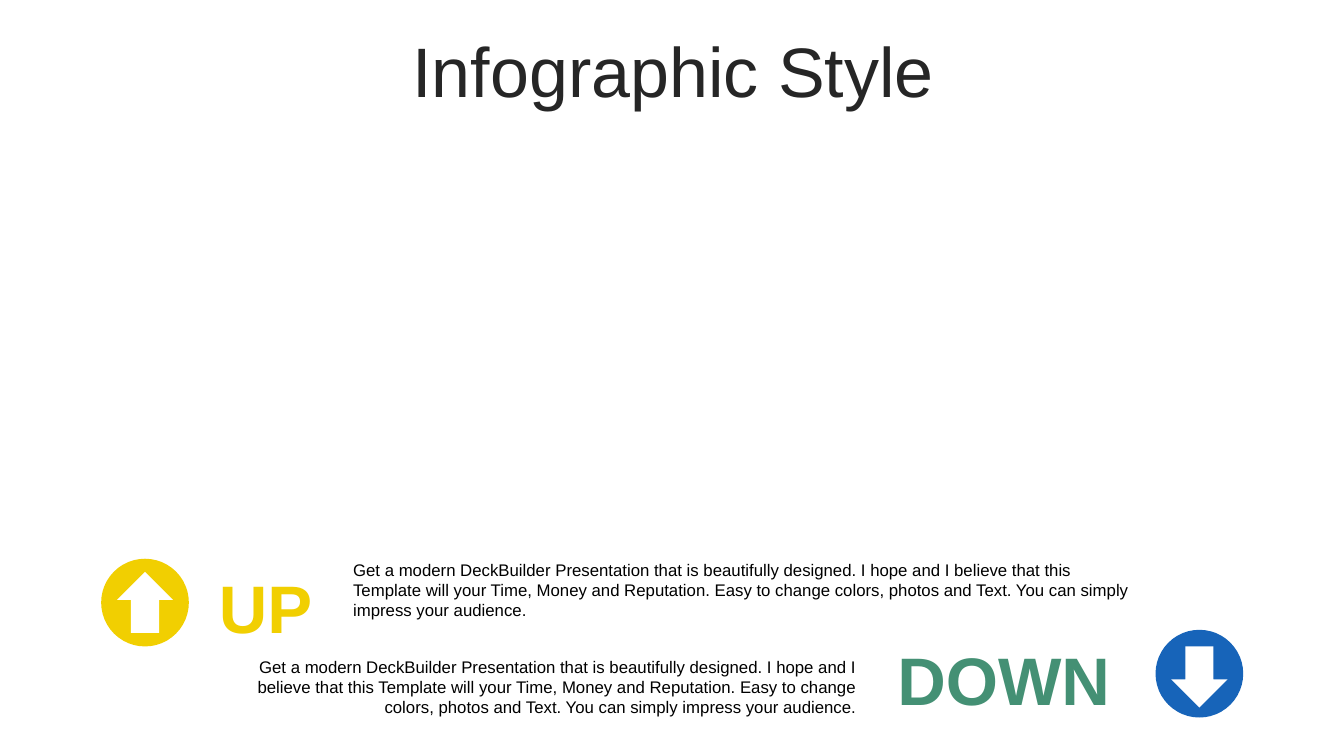
"""Build the Infographic Style slide with its up and down messages."""
from pptx import Presentation
from pptx.dml.color import RGBColor
from pptx.enum.shapes import MSO_SHAPE
from pptx.enum.text import MSO_ANCHOR, MSO_AUTO_SIZE, PP_ALIGN
from pptx.util import Cm, Pt

MESSAGE = (
    "Get a modern DeckBuilder Presentation that is beautifully designed. "
    "I hope and I believe that this Template will your Time, Money and Reputation. "
    "Easy to change colors, photos and Text. You can simply impress your audience."
)
CIRCLE_SIZE = 2.21
ARROW_WIDTH, ARROW_HEIGHT = 1.42, 1.54


def write_text(shape, text, size, color="000000", bold=False, align=PP_ALIGN.LEFT,
               anchor=MSO_ANCHOR.TOP, fit=MSO_AUTO_SIZE.SHAPE_TO_FIT_TEXT,
               margin=None, line_spacing=None):
    frame = shape.text_frame
    frame.word_wrap = True
    frame.auto_size = fit
    frame.vertical_anchor = anchor
    if margin is not None:
        frame.margin_left = frame.margin_right = Cm(margin)
        frame.margin_top = frame.margin_bottom = Cm(margin)
    paragraph = frame.paragraphs[0]
    paragraph.alignment = align
    paragraph.line_spacing = line_spacing
    run = paragraph.add_run()
    run.text = text
    run.font.name = "Arial"
    run.font.size = Pt(size)
    run.font.bold = bold
    run.font.color.rgb = RGBColor.from_string(color)


def add_filled(shapes, kind, left, top, width, height, color, rotation):
    shape = shapes.add_shape(kind, Cm(left), Cm(top), Cm(width), Cm(height))
    shape.shadow.inherit = False
    shape.fill.solid()
    shape.fill.fore_color.rgb = RGBColor.from_string(color)
    shape.line.fill.background()
    shape.rotation = rotation


presentation = Presentation()
presentation.slide_width = Cm(33.87)
presentation.slide_height = Cm(19.05)
slide = presentation.slides.add_slide(presentation.slide_layouts[5])

title = slide.shapes.title
title.left, title.top, title.width, title.height = Cm(0.89), Cm(0.94), Cm(32.16), Cm(2.01)
write_text(title, "Infographic Style", 50, color="262626", align=PP_ALIGN.CENTER,
           anchor=MSO_ANCHOR.MIDDLE, fit=MSO_AUTO_SIZE.NONE, line_spacing=0.8)

directions = [
    ("UP", "F1CF01", (5.12, 14.25, 3.15, 2.06), (8.65, 13.98, 20.27, 1.8),
     PP_ALIGN.LEFT, "F1CF01", (2.55, 14.08), 0.33, 0),
    ("DOWN", "449074", (21.69, 16.05, 7.21, 2.06), (4.95, 16.42, 16.89, 1.8),
     PP_ALIGN.RIGHT, "1764B9", (29.12, 15.87), 0.42, 180),
]
for (label, label_color, label_box, message_box, message_align,
     circle_color, (left, top), arrow_drop, rotation) in directions:
    heading = slide.shapes.add_textbox(*map(Cm, label_box))
    write_text(heading, label, 48, color=label_color, bold=True,
               align=PP_ALIGN.CENTER, anchor=MSO_ANCHOR.BOTTOM, margin=0)

    icon = slide.shapes.add_group_shape()
    add_filled(icon.shapes, MSO_SHAPE.OVAL, left, top,
               CIRCLE_SIZE, CIRCLE_SIZE, circle_color, rotation)
    add_filled(icon.shapes, MSO_SHAPE.UP_ARROW,
               left + (CIRCLE_SIZE - ARROW_WIDTH) / 2, top + arrow_drop,
               ARROW_WIDTH, ARROW_HEIGHT, "FFFFFF", rotation)

    message = slide.shapes.add_textbox(*map(Cm, message_box))
    write_text(message, MESSAGE, 12, align=message_align)

presentation.save("out.pptx")
